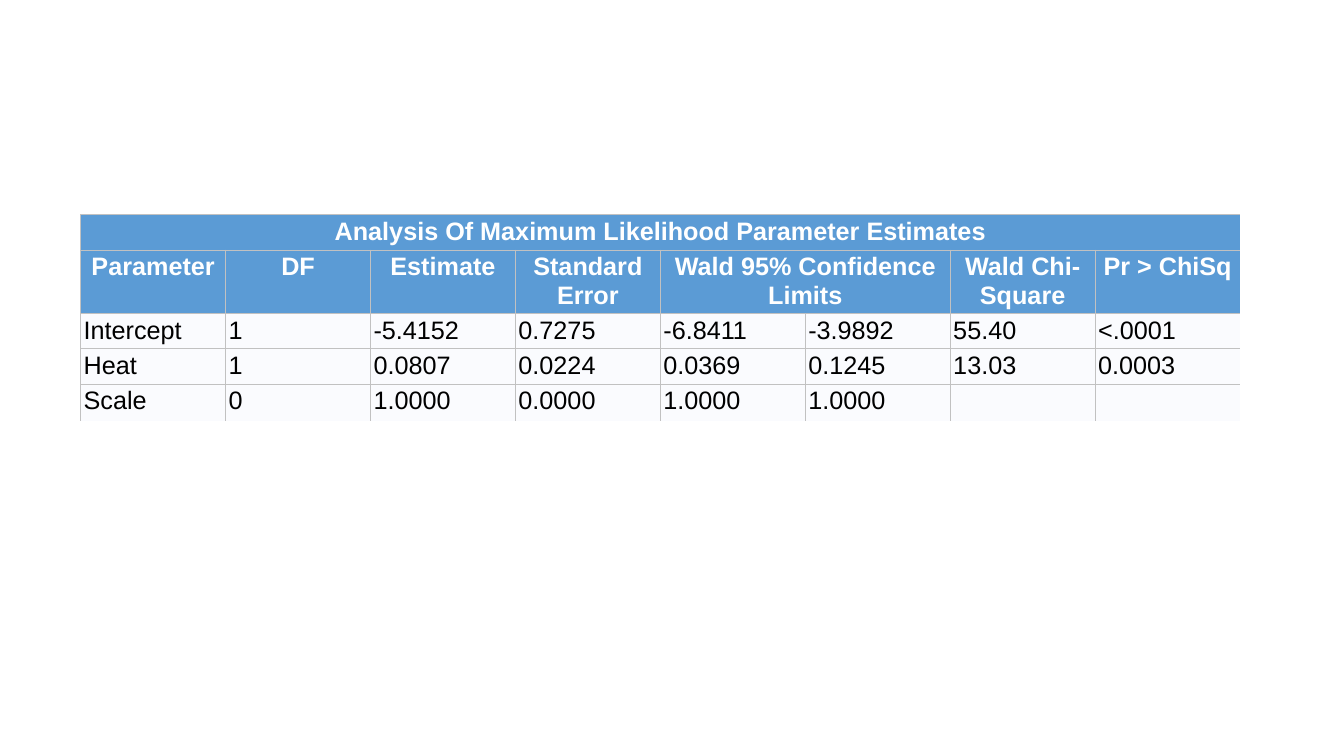
from lxml.etree import SubElement
from pptx import Presentation
from pptx.dml.color import RGBColor
from pptx.enum.text import PP_ALIGN
from pptx.oxml.ns import qn
from pptx.util import Inches, Pt

WHITE = RGBColor(0xFF, 0xFF, 0xFF)
BLACK = RGBColor(0x00, 0x00, 0x00)
HEADER_BLUE = RGBColor(0x5B, 0x9B, 0xD5)
BODY_FILL = RGBColor(0xFA, 0xFB, 0xFE)
BORDER_GREY = RGBColor(0xC1, 0xC1, 0xC1)

TITLE = "Analysis Of Maximum Likelihood Parameter Estimates"
HEADINGS = ["Parameter", "DF", "Estimate", "Standard\vError",
            "Wald 95% Confidence Limits", "", "Wald Chi-Square", "Pr > ChiSq"]
ESTIMATES = [
    ["Intercept", "1", "-5.4152", "0.7275", "-6.8411", "-3.9892", "55.40", "<.0001"],
    ["Heat", "1", "0.0807", "0.0224", "0.0369", "0.1245", "13.03", "0.0003"],
    ["Scale", "0", "1.0000", "0.0000", "1.0000", "1.0000", "", ""],
]
HEADER_ROWS = 2
ROW_HEIGHTS = [0.35, 0.63, 0.35, 0.35, 0.35]
CELL_MARGIN = 0.03


def write_text(text_frame, text, *, size=18, font="Arial", color=BLACK,
               bold=False, align=PP_ALIGN.LEFT):
    paragraph = text_frame.paragraphs[0]
    paragraph.text = text
    paragraph.alignment = align
    for run in paragraph.runs:
        run.font.size = Pt(size)
        run.font.name = font
        run.font.bold = bold
        run.font.color.rgb = color


def set_borders(cell, visible_sides):
    """Draw thin grey lines on the given sides (L, R, T, B) and none elsewhere."""
    properties = cell._tc.get_or_add_tcPr()
    for side in "LRTB":
        line = SubElement(properties, qn(f"a:ln{side}"), w=str(Pt(0.5)))
        if side in visible_sides:
            fill = SubElement(line, qn("a:solidFill"))
            SubElement(fill, qn("a:srgbClr"), val=str(BORDER_GREY))
        else:
            SubElement(line, qn("a:noFill"))


def format_cell(cell, text, is_header, visible_sides):
    set_borders(cell, visible_sides)
    cell.fill.solid()
    cell.fill.fore_color.rgb = HEADER_BLUE if is_header else BODY_FILL
    cell.margin_left = cell.margin_right = Inches(CELL_MARGIN)
    cell.margin_top = cell.margin_bottom = Inches(CELL_MARGIN)
    if not text:
        return
    if is_header:
        write_text(cell.text_frame, text, color=WHITE, bold=True,
                   align=PP_ALIGN.CENTER)
    else:
        write_text(cell.text_frame, text)


def add_estimates_table(slide, left, top, width):
    column_count = len(HEADINGS)
    rows = [[TITLE] + [""] * (column_count - 1), HEADINGS] + ESTIMATES
    frame = slide.shapes.add_table(len(rows), column_count, Inches(left), Inches(top),
                                   Inches(width), Inches(sum(ROW_HEIGHTS)))
    table = frame.table
    for column in table.columns:
        column.width = Inches(width / column_count)
    for row, height in zip(table.rows, ROW_HEIGHTS):
        row.height = Inches(height)
    table.cell(0, 0).merge(table.cell(0, column_count - 1))
    table.cell(1, 4).merge(table.cell(1, 5))

    for row_index, texts in enumerate(rows):
        for column_index, text in enumerate(texts):
            cell = table.cell(row_index, column_index)
            if cell.is_spanned:
                continue
            span = cell.span_width if cell.is_merge_origin else 1
            sides = "LT"
            if column_index + span < column_count:
                sides += "R"
            if row_index < len(rows) - 1:
                sides += "B"
            format_cell(cell, text, row_index < HEADER_ROWS, sides)


def main():
    presentation = Presentation()
    presentation.slide_width = Inches(13.33)
    presentation.slide_height = Inches(7.5)
    slide = presentation.slides.add_slide(presentation.slide_layouts[6])
    add_estimates_table(slide, left=0.8, top=2.13, width=11.5)
    presentation.save("out.pptx")


if __name__ == "__main__":
    main()
